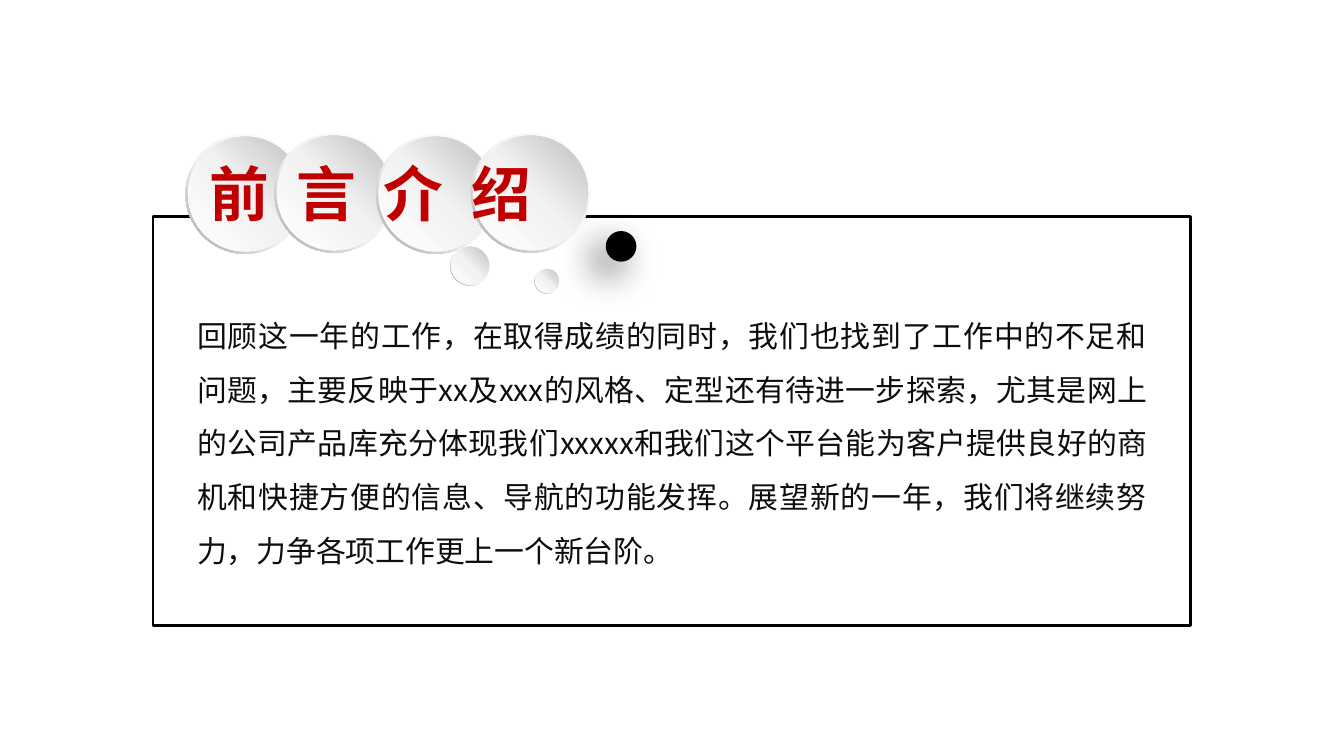
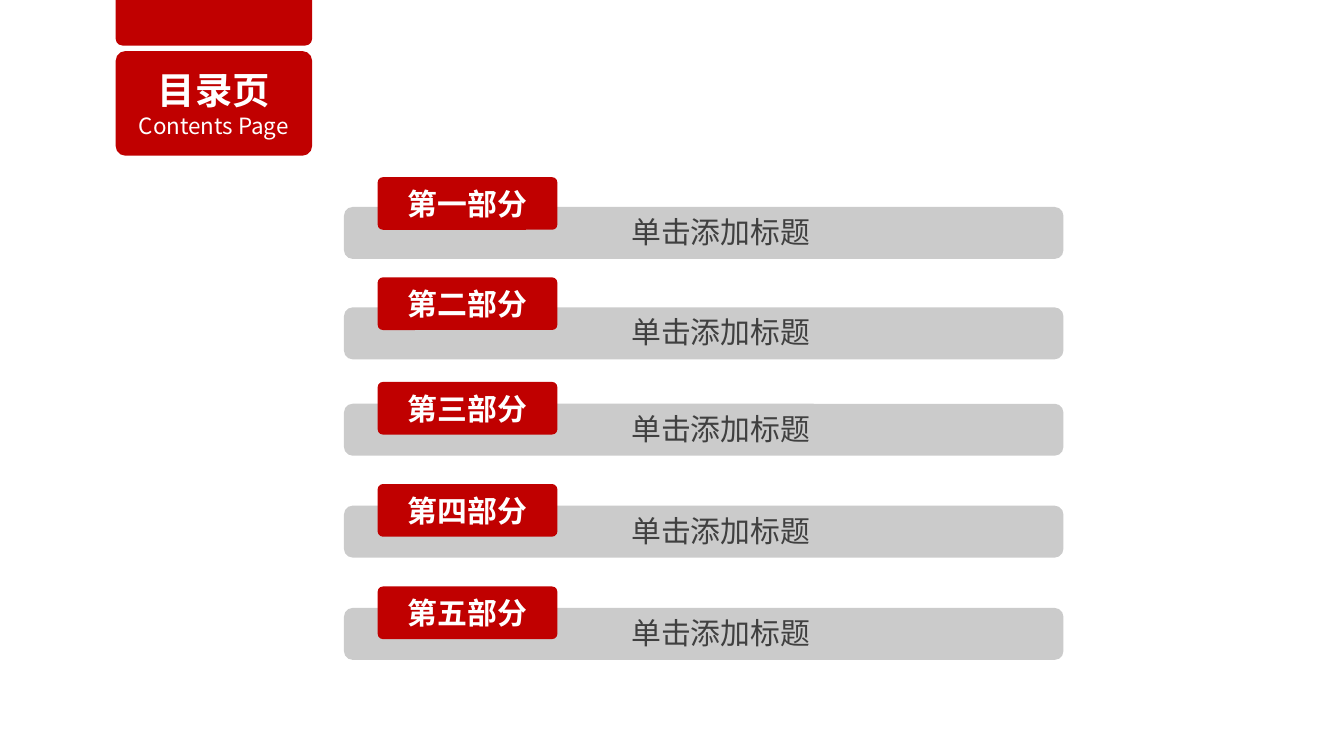
import pptx
import pptx.util
import pptx.dml.color
import pptx.enum.shapes
import pptx.enum.text
import pptx.oxml
import pptx.oxml.ns
from dataclasses import dataclass

Pt = pptx.util.Pt
Kind = pptx.enum.shapes.MSO_SHAPE
Align = pptx.enum.text.PP_ALIGN
Fit = pptx.enum.text.MSO_AUTO_SIZE
Mid = pptx.enum.text.MSO_ANCHOR.MIDDLE
NS = pptx.oxml.ns.nsdecls("a")


@dataclass
class Theme:
    font: str = "Noto Sans CJK SC"
    red: str = "C00000"
    gray: str = "CBCBCB"
    white: str = "FFFFFF"
    black: str = "000000"
    ink: str = "0D0D0D"
    soft: str = "404040"
    huge: int = 32
    head: int = 20
    body: int = 16
    small: int = 12
    rim: tuple = (135, (0, "FFFFFF"), (55, "F2F2F2"), (100, "A6A6A6"))
    face: tuple = (315, (0, "FFFFFF"), (51, "F2F2F2"), (100, "BFBFBF"))


theme = Theme()


def add_box(host, kind, box, fill, adj=None):
    """Add a shape without outline; fill is a colour or a gradient tuple."""
    shape = host.add_shape(kind, *[Pt(v) for v in box])
    shape.shadow.inherit = False
    shape.line.fill.background()
    if adj is not None:
        shape.adjustments[0] = adj
    if isinstance(fill, str):
        shape.fill.solid()
        shape.fill.fore_color.rgb = pptx.dml.color.RGBColor.from_string(fill)
    else:
        angle, *stops = fill
        marks = "".join(
            f'<a:gs pos="{pos * 1000}"><a:srgbClr val="{tone}"/></a:gs>'
            for pos, tone in stops)
        grad = pptx.oxml.parse_xml(
            f'<a:gradFill {NS} rotWithShape="1"><a:gsLst>{marks}</a:gsLst>'
            f'<a:lin ang="{angle * 60000}" scaled="0"/></a:gradFill>')
        shape.element.spPr.insert(2, grad)
    return shape


def put_text(shape, lines, align=Align.LEFT, wrap=True, grow=False):
    """Fill a shape with lines of (text, size, colour, bold)."""
    frame = shape.text_frame
    frame.word_wrap = wrap
    if grow:
        frame.auto_size = Fit.SHAPE_TO_FIT_TEXT
    else:
        frame.vertical_anchor = Mid
    for i, (text, size, tone, bold) in enumerate(lines):
        para = frame.add_paragraph() if i else frame.paragraphs[0]
        para.text = text
        para.alignment = align
        font = para.font
        font.size, font.bold, font.name = Pt(size), bold, theme.font
        font.color.rgb = pptx.dml.color.RGBColor.from_string(tone)
        font._rPr.append(pptx.oxml.parse_xml(
            f'<a:ea {NS} typeface="{theme.font}"/>'))
    return frame


deck = pptx.Presentation()
deck.slide_width, deck.slide_height = Pt(720), Pt(405)
blank = deck.slide_layouts[6]

# Slide 1: preface
shapes = deck.slides.add_slide(blank).shapes

# Framed panel
panel = add_box(shapes, Kind.RECTANGLE, (82, 116, 556, 219), theme.white)
panel.fill._xPr.solidFill[0].append(
    pptx.oxml.parse_xml(f'<a:alpha {NS} val="58000"/>'))
panel.line.color.rgb = pptx.dml.color.RGBColor.from_string(theme.black)
panel.line.width = Pt(1.5)

# Body text
body = shapes.add_textbox(Pt(98.5), Pt(157), Pt(523.5), Pt(152.6))
story = (
    "回顾这一年的工作，在取得成绩的同时，我们也找到了工作中的不足和问题，"
    "主要反映于xx及xxx的风格、定型还有待进一步探索，"
    "尤其是网上的公司产品库充分体现我们xxxxx和我们这个平台能为客户提供"
    "良好的商机和快捷方便的信息、导航的功能发挥。"
    "展望新的一年，我们将继续努力，力争各项工作更上一个新台阶。")
frame = put_text(body, [(story, theme.body, theme.ink, False)],
                 Align.JUSTIFY, grow=True)
frame.paragraphs[0].line_spacing = 1.5

# Black dot with soft shadow
dot = add_box(shapes, Kind.OVAL, (324.5, 123.8, 16.4, 16.4), theme.black)
dot.element.spPr.find(pptx.oxml.ns.qn("a:effectLst")).append(
    pptx.oxml.parse_xml(
        f'<a:outerShdw {NS} blurRad="{Pt(20)}" dist="{Pt(10)}" '
        f'dir="{135 * 60000}" algn="tr" rotWithShape="0">'
        f'<a:srgbClr val="{theme.black}"><a:alpha val="60000"/></a:srgbClr>'
        '</a:outerShdw>'))

# Bubbles: a rim with a face inside
for left, top, size in [(99.4, 72, 64), (147, 71.4, 64), (201.5, 72, 64),
                        (252.3, 71.4, 64), (241.2, 131.8, 21.2),
                        (286.4, 144, 13.2)]:
    group = shapes.add_group_shape().shapes
    gap = size * 0.02
    add_box(group, Kind.DONUT, (left, top, size, size), theme.rim, 0.049)
    add_box(group, Kind.OVAL,
            (left + gap, top + gap, size - 2 * gap, size - 2 * gap), theme.face)

# Title over the bubbles, spread by letter spacing
title = shapes.add_textbox(Pt(112.3), Pt(84.2), Pt(186.5), Pt(38.9))
frame = put_text(title, [("前 言 介 绍", theme.huge, theme.red, True)],
                 wrap=False, grow=True)
frame.margin_left = frame.margin_right = 0
frame.margin_top = frame.margin_bottom = 0
frame.paragraphs[0].font._rPr.set("spc", "370")

# Slide 2: contents
shapes = deck.slides.add_slide(blank).shapes

# Parts: bar, red tag, caption
parts = [("第一部分", 110.9, 94.9), ("第二部分", 164.7, 148.6),
         ("第三部分", 216.3, 204.6), ("第四部分", 270.9, 259.3),
         ("第五部分", 325.7, 314.2)]
for name, top, rise in parts:
    add_box(shapes, Kind.ROUNDED_RECTANGLE, (184.3, top, 385.4, 27.8),
            theme.gray)
    tag = add_box(shapes, Kind.ROUNDED_RECTANGLE, (202.3, rise, 96.3, 28.2),
                  theme.red, 0.101)
    put_text(tag, [(name, theme.body, theme.white, True)], Align.CENTER)
    note = shapes.add_textbox(Pt(331.2), Pt(top), Pt(111.6), Pt(26.6))
    put_text(note, [("单击添加标题", theme.body, theme.soft, False)],
             wrap=False, grow=True)

# Red heading block
add_box(shapes, Kind.ROUNDED_RECTANGLE, (62, -15.1, 105.2, 39.5),
        theme.red, 0.091)
head = add_box(shapes, Kind.ROUNDED_RECTANGLE, (62, 27.4, 105.2, 56),
               theme.red, 0.091)
put_text(head, [("目录页", theme.head, theme.white, True),
                ("Contents Page", theme.small, theme.white, False)],
         Align.CENTER)

deck.save("out.pptx")
